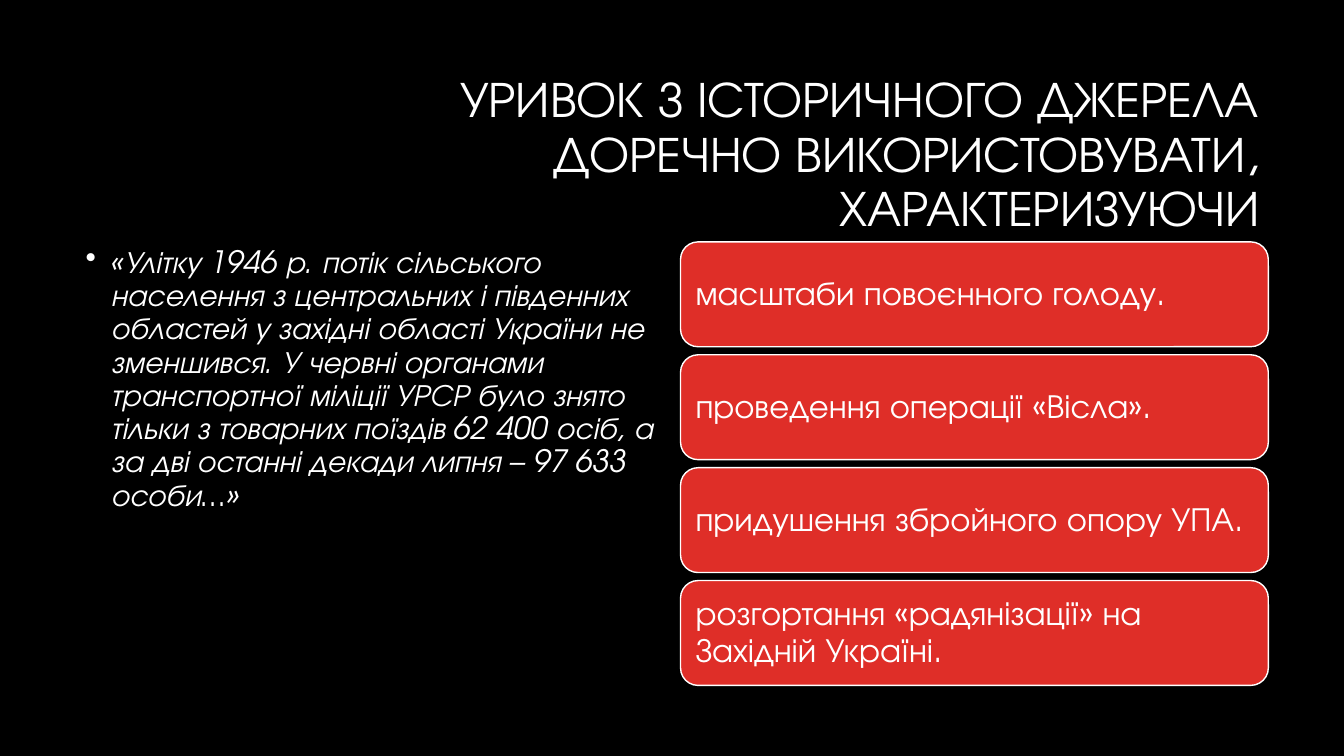
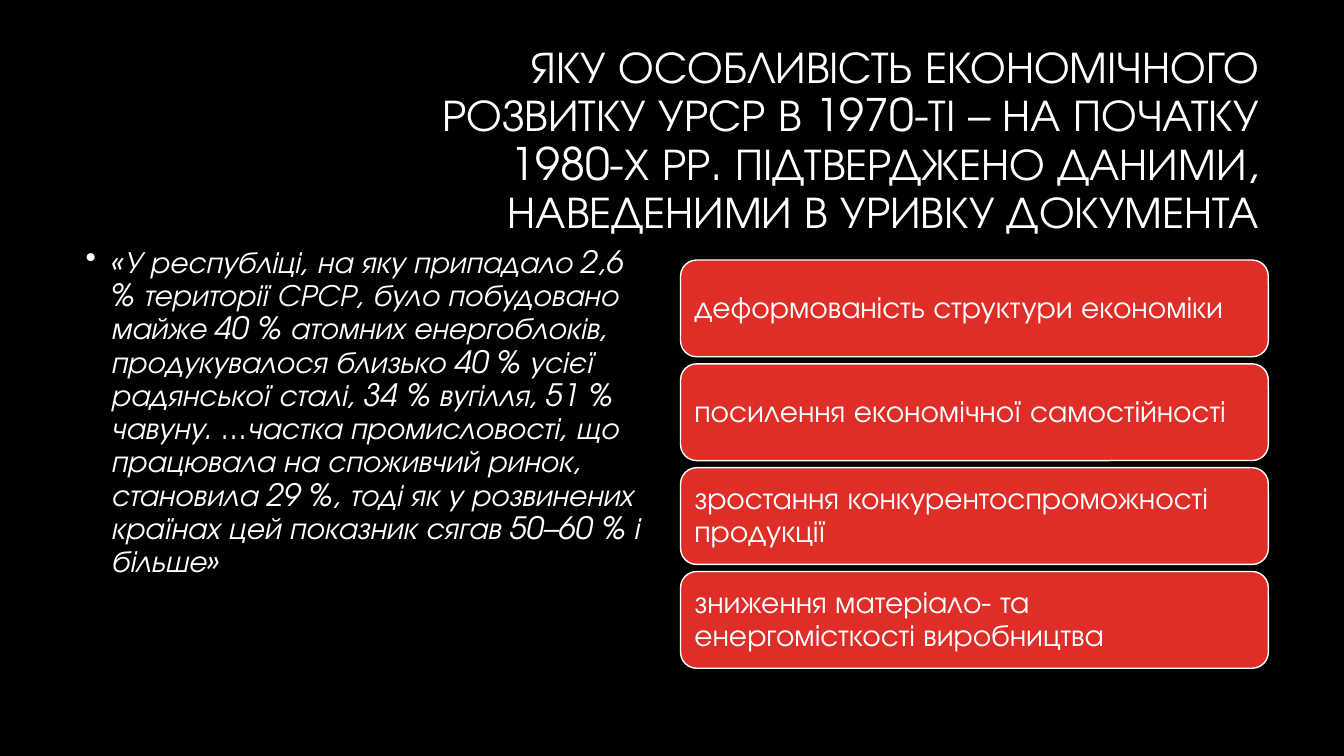
import pptx
import pptx.dml.color
import pptx.enum.shapes
import pptx.enum.text
import pptx.oxml
import pptx.oxml.ns
import pptx.util

EMU_PER_PX = 9144
BLACK = pptx.dml.color.RGBColor(0x00, 0x00, 0x00)
WHITE = pptx.dml.color.RGBColor(0xFF, 0xFF, 0xFF)
RED = pptx.dml.color.RGBColor(0xDF, 0x2E, 0x28)
FONT = "TeX Gyre Adventor"
ALIGN = pptx.enum.text.PP_ALIGN
ANCHOR = pptx.enum.text.MSO_ANCHOR

CONTENT_TOP = 240
CONTENT_HEIGHT = 440
COLUMN_WIDTH = 583
QUOTE_LEFT = 75
ANSWERS_LEFT = 675
BULLET_INDENT = 25

SLIDES = [
    {
        "title": "УРИВОК З ІСТОРИЧНОГО ДЖЕРЕЛА ДОРЕЧНО ВИКОРИСТОВУВАТИ, ХАРАКТЕРИЗУЮЧИ",
        "title_top": 84,
        "title_size": 36,
        "quote": "«Улітку 1946 р. потік сільського населення з центральних і південних "
                 "областей у західні області України не зменшився. У червні органами "
                 "транспортної міліції УРСР було знято тільки з товарних поїздів "
                 "62 400 осіб, а за дві останні декади липня – 97 633 особи…»",
        "answers": [
            "масштаби повоєнного голоду.",
            "проведення операції «Вісла».",
            "придушення збройного опору УПА.",
            "розгортання «радянізації» на Західній Україні.",
        ],
        "answer_size": 24,
        "answer_height": 104,
        "answer_gap": 8,
        "answer_inset": 10,
    },
    {
        "title": "ЯКУ ОСОБЛИВІСТЬ ЕКОНОМІЧНОГО РОЗВИТКУ УРСР В 1970-ТІ – НА ПОЧАТКУ "
                 "1980-Х РР. ПІДТВЕРДЖЕНО ДАНИМИ, НАВЕДЕНИМИ В УРИВКУ ДОКУМЕНТА",
        "title_top": 70,
        "title_size": 32,
        "quote": "«У республіці, на яку припадало 2,6 % території СРСР, було побудовано "
                 "майже 40 % атомних енергоблоків, продукувалося близько 40 % усієї "
                 "радянської сталі, 34 % вугілля, 51 % чавуну. …частка промисловості, "
                 "що працювала на споживчий ринок, становила 29 %, тоді як у розвинених "
                 "країнах цей показник сягав 50–60 % і більше»",
        "answers": [
            "деформованість структури економіки",
            "посилення економічної самостійності",
            "зростання конкурентоспроможності продукції",
            "зниження матеріало- та енергомісткості виробництва",
        ],
        "answer_size": 22,
        "answer_height": 96,
        "answer_gap": 7,
        "answer_inset": 9,
    },
]


def px(length):
    return pptx.util.Emu(length * EMU_PER_PX)


def box(left, top, width, height):
    return px(left), px(top), px(width), px(height)


def add_bullet(paragraph):
    properties = paragraph._p.get_or_add_pPr()
    properties.set("marL", str(px(BULLET_INDENT)))
    properties.set("indent", str(-px(BULLET_INDENT)))
    bullet = pptx.oxml.parse_xml(
        f'<a:buChar {pptx.oxml.ns.nsdecls("a")} char="•"/>')
    properties.append(bullet)


def write_text(shape, text, *, size, align=ALIGN.LEFT, anchor=ANCHOR.TOP,
               italic=False, bullet=False, inset_x=10, inset_y=5):
    frame = shape.text_frame
    frame.word_wrap = True
    frame.vertical_anchor = anchor
    frame.margin_left = frame.margin_right = px(inset_x)
    frame.margin_top = frame.margin_bottom = px(inset_y)
    paragraph = frame.paragraphs[0]
    paragraph.alignment = align
    paragraph.line_spacing = 0.9
    if bullet:
        add_bullet(paragraph)
    run = paragraph.add_run()
    run.text = text
    run.font.name = FONT
    run.font.size = pptx.util.Pt(size)
    run.font.italic = italic
    run.font.color.rgb = WHITE


def add_title(slide, text, top, size):
    shape = slide.shapes.add_textbox(*box(317, top, 942, 141))
    write_text(shape, text, size=size, align=ALIGN.RIGHT, anchor=ANCHOR.MIDDLE)


def add_quote(slide, text):
    shape = slide.shapes.add_textbox(
        *box(QUOTE_LEFT, CONTENT_TOP, COLUMN_WIDTH, CONTENT_HEIGHT))
    write_text(shape, text, size=22, italic=True, bullet=True)


def add_answers(slide, answers, size, height, gap, inset):
    stack_height = len(answers) * (height + gap) - gap
    first_top = CONTENT_TOP + round((CONTENT_HEIGHT - stack_height) / 2)
    for index, answer in enumerate(answers):
        top = first_top + index * (height + gap)
        shape = slide.shapes.add_shape(
            pptx.enum.shapes.MSO_SHAPE.ROUNDED_RECTANGLE,
            *box(ANSWERS_LEFT, top, COLUMN_WIDTH, height))
        shape.shadow.inherit = False
        shape.fill.solid()
        shape.fill.fore_color.rgb = RED
        shape.line.color.rgb = WHITE
        shape.line.width = pptx.util.Pt(1)
        write_text(shape, answer, size=size, anchor=ANCHOR.MIDDLE,
                   inset_x=inset, inset_y=inset)


def add_question_slide(presentation, content):
    slide = presentation.slides.add_slide(presentation.slide_layouts[6])
    add_title(slide, content["title"], content["title_top"], content["title_size"])
    add_quote(slide, content["quote"])
    add_answers(slide, content["answers"], content["answer_size"],
                content["answer_height"], content["answer_gap"],
                content["answer_inset"])


def main():
    presentation = pptx.Presentation()
    presentation.slide_width = px(1333)
    presentation.slide_height = px(750)
    background = presentation.slide_master.background.fill
    background.solid()
    background.fore_color.rgb = BLACK
    for content in SLIDES:
        add_question_slide(presentation, content)
    presentation.save("out.pptx")


if __name__ == "__main__":
    main()
